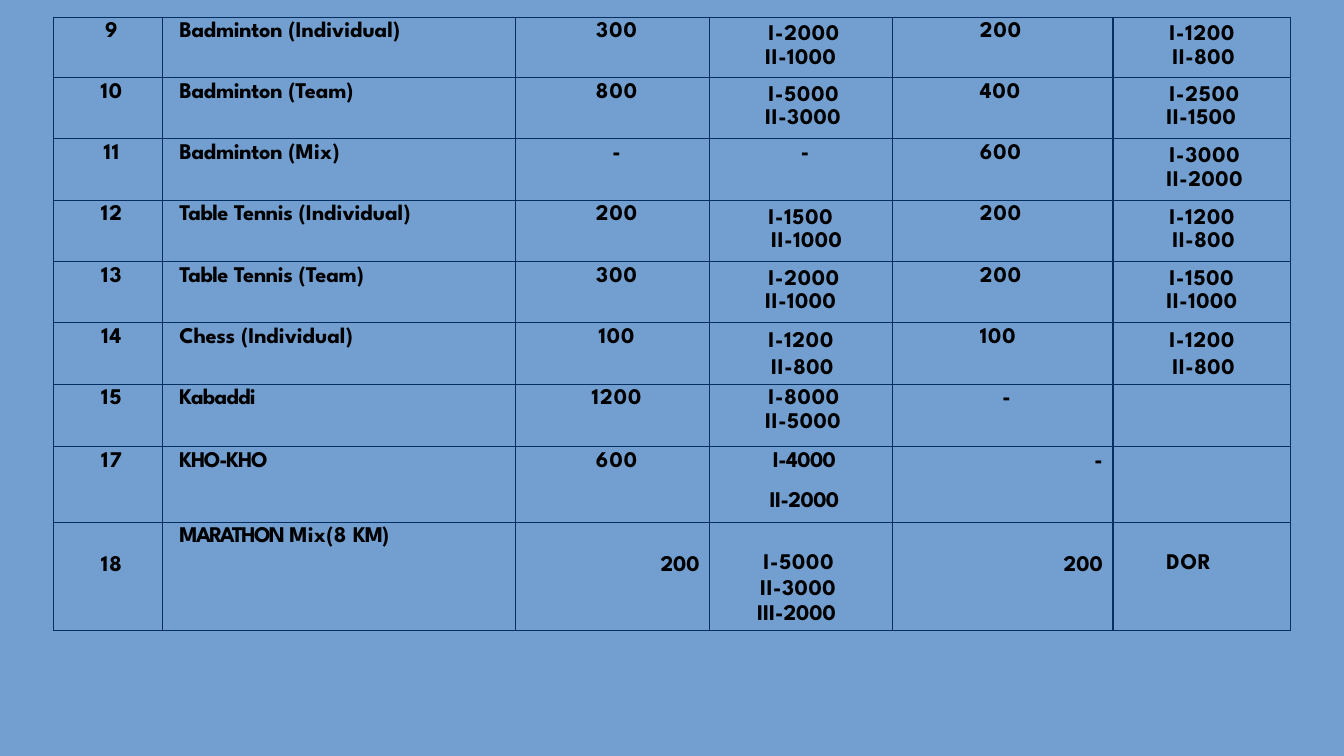
import dataclasses

import lxml.etree
import pptx
import pptx.dml.color
import pptx.enum.text
import pptx.oxml.ns
import pptx.util

Pt = pptx.util.Pt
CENTER = pptx.enum.text.PP_ALIGN.CENTER
RIGHT = pptx.enum.text.PP_ALIGN.RIGHT
qn = pptx.oxml.ns.qn


@dataclasses.dataclass(frozen=True)
class Theme:
    background: str = "729FCF"
    rule: str = "052F60"
    ink: str = "000000"
    font: str = "League Spartan"
    size: float = 16
    rule_width: float = 0.96
    top_rule_width: float = 0.5


def write(paragraph, text, theme, align=None, indent=0, first=0, leading=None, before=0, spacing=0):
    runs = [(text, spacing)] if isinstance(text, str) else text
    properties = paragraph._p.get_or_add_pPr()
    properties.set("marL", str(Pt(indent)))
    properties.set("indent", str(Pt(first)))
    if align is not None:
        paragraph.alignment = align
    if leading:
        paragraph.line_spacing = Pt(leading)
    if before:
        paragraph.space_before = Pt(before)
    for words, tracking in runs:
        run = paragraph.add_run()
        run.text = words
        run.font.name = theme.font
        run.font.size = Pt(theme.size)
        run.font.bold = True
        run.font.color.rgb = pptx.dml.color.RGBColor.from_string(theme.ink)
        run._r.get_or_add_rPr().set("spc", str(round(tracking * 100)))


class FeeSlide:
    def __init__(self, presentation, theme):
        self.theme = theme
        self.slide = presentation.slides.add_slide(presentation.slide_layouts[6])
        fill = self.slide.background.fill
        fill.solid()
        fill.fore_color.rgb = pptx.dml.color.RGBColor.from_string(theme.background)

    def border(self, cell, top_width):
        properties = cell._tc.get_or_add_tcPr()
        for side in "LRTB":
            width = top_width if side == "T" else self.theme.rule_width
            line = lxml.etree.SubElement(properties, qn(f"a:ln{side}"), w=str(Pt(width)))
            solid = lxml.etree.SubElement(line, qn("a:solidFill"))
            lxml.etree.SubElement(solid, qn("a:srgbClr"), val=self.theme.rule)

    def cell(self, cell, lines, top_margin, top_width):
        self.border(cell, top_width)
        cell.fill.background()
        cell.margin_left = cell.margin_right = Pt(7.2)
        cell.margin_top, cell.margin_bottom = Pt(top_margin), Pt(3.6)
        frame = cell.text_frame
        for index, (text, style) in enumerate(lines):
            paragraph = frame.add_paragraph() if index else frame.paragraphs[0]
            write(paragraph, text, self.theme, **style)

    def table(self, left, top, widths, heights, rows):
        table = self.slide.shapes.add_table(
            len(rows), len(widths), Pt(left), Pt(top), Pt(sum(widths)), Pt(sum(heights))
        ).table
        table.first_row = table.horz_banding = False
        for column, width in zip(table.columns, widths):
            column.width = Pt(width)
        for r, (height, entries) in enumerate(zip(heights, rows)):
            table.rows[r].height = Pt(height)
            top_width = self.theme.rule_width if r else self.theme.top_rule_width
            for c, (lines, top_margin) in enumerate(entries):
                self.cell(table.cell(r, c), lines, top_margin, top_width)


def entry(text, top=3.6, **style):
    return [(text, style)], top


def serial(text, **style):
    return entry(text, align=CENTER, indent=5, spacing=0.8, **style)


def event(*runs):
    return entry(runs, indent=5)


def first_fee(text):
    return entry(text, align=CENTER, indent=5.8, spacing=0 if text == "-" else 0.8)


def second_fee(text):
    return entry(text, indent=55.4, spacing=0.8)


def prizes(first, second, first_indent, second_indent, leading=None, second_leading=None):
    return [
        (first, dict(indent=first_indent, leading=leading, spacing=0.6)),
        (second, dict(indent=second_indent, leading=second_leading, before=2, spacing=0.4)),
    ], 3.6


BADMINTON = ("Badminton ", -0.2)
TABLE_TENNIS = [("Table ", -0.4), ("Tennis ", -0.2)]
INDIVIDUAL = ("(Individual)", 0)
TEAM = ("(Team)", -0.1)
EMPTY = ([], 3.6)
FIRST_PRIZE, SECOND_PRIZE = 34.6, 33.1
DASH = entry("-", align=CENTER, indent=5.8)

ROWS = [
    [serial("9"), event(BADMINTON, INDIVIDUAL), first_fee("300"),
     prizes("I-2000", "II-1000", FIRST_PRIZE, 32.4, 16.9),
     second_fee("200"), prizes("I-1200", "II-800", SECOND_PRIZE, 35.3, 16.9)],
    [serial("10"), event(BADMINTON, TEAM), first_fee("800"),
     prizes("I-5000", "II-3000", FIRST_PRIZE, 32.4, 17.1),
     second_fee("400"), prizes("I-2500", "II-1500", SECOND_PRIZE, 31, 17.1)],
    [serial("11"), event(BADMINTON, ("(Mix)", 0.1)), first_fee("-"), DASH,
     second_fee("600"), prizes("I-3000", "II-2000", SECOND_PRIZE, 31, 17.1)],
    [serial("12"), event(*TABLE_TENNIS, INDIVIDUAL), first_fee("200"),
     prizes("I-1500", "II-1000", FIRST_PRIZE, 36.7, 17.1),
     second_fee("200"), prizes("I-1200", "II-800", SECOND_PRIZE, 35.3, 17.1)],
    [serial("13"), event(*TABLE_TENNIS, TEAM), first_fee("300"),
     prizes("I-2000", "II-1000", FIRST_PRIZE, 32.4, 17.1),
     second_fee("200"), prizes("I-1500", "II-1000", SECOND_PRIZE, 31, 17.1)],
    [serial("14"), event(("Chess ", -0.2), INDIVIDUAL), first_fee("100"),
     prizes("I-1200", "II-800", FIRST_PRIZE, 36.7, 17.3, 17.3),
     second_fee("100"), prizes("I-1200", "II-800", SECOND_PRIZE, 35.3, 17.3, 17.3)],
    [serial("15"), event(("Kabaddi", -0.5)), first_fee("1200"),
     prizes("I-8000", "II-5000", FIRST_PRIZE, 32.4), DASH, EMPTY],
    [serial("17"), event(("KHO-KHO", -0.9)), first_fee("600"),
     ([("I-4000", dict(align=CENTER, indent=5, spacing=-0.4)),
       ("II-2000", dict(align=CENTER, indent=5, before=13.9, spacing=-0.4))], 3.6),
     entry("-", align=RIGHT), EMPTY],
    [serial("18", top=24.3),
     event(("MARATHON ", -1.2), ("Mix(8 ", 0.2), ("KM)", -0.8)),
     entry("200", top=24.3, align=RIGHT),
     ([("I-5000", dict(indent=31, leading=16.9, spacing=0.6)),
       ([("II-3000 ", 0.4), ("III-2000", 0)],
        dict(indent=26.6, first=2.2, leading=17.9, before=0.5))], 20.5),
     entry("200", top=24.3, align=RIGHT),
     entry("DOR", top=20.5, indent=31, leading=16.9, spacing=0.6)],
]


def main():
    presentation = pptx.Presentation()
    presentation.slide_width, presentation.slide_height = Pt(960), Pt(540)
    fees = FeeSlide(presentation, Theme())
    fees.table(
        38.2, 12.2,
        widths=[77.8, 252, 139, 130.3, 157.7, 126.7],
        heights=[43.2] + [43.8] * 5 + [44.8, 53.8, 77.2],
        rows=ROWS,
    )
    presentation.save("out.pptx")


if __name__ == "__main__":
    main()
